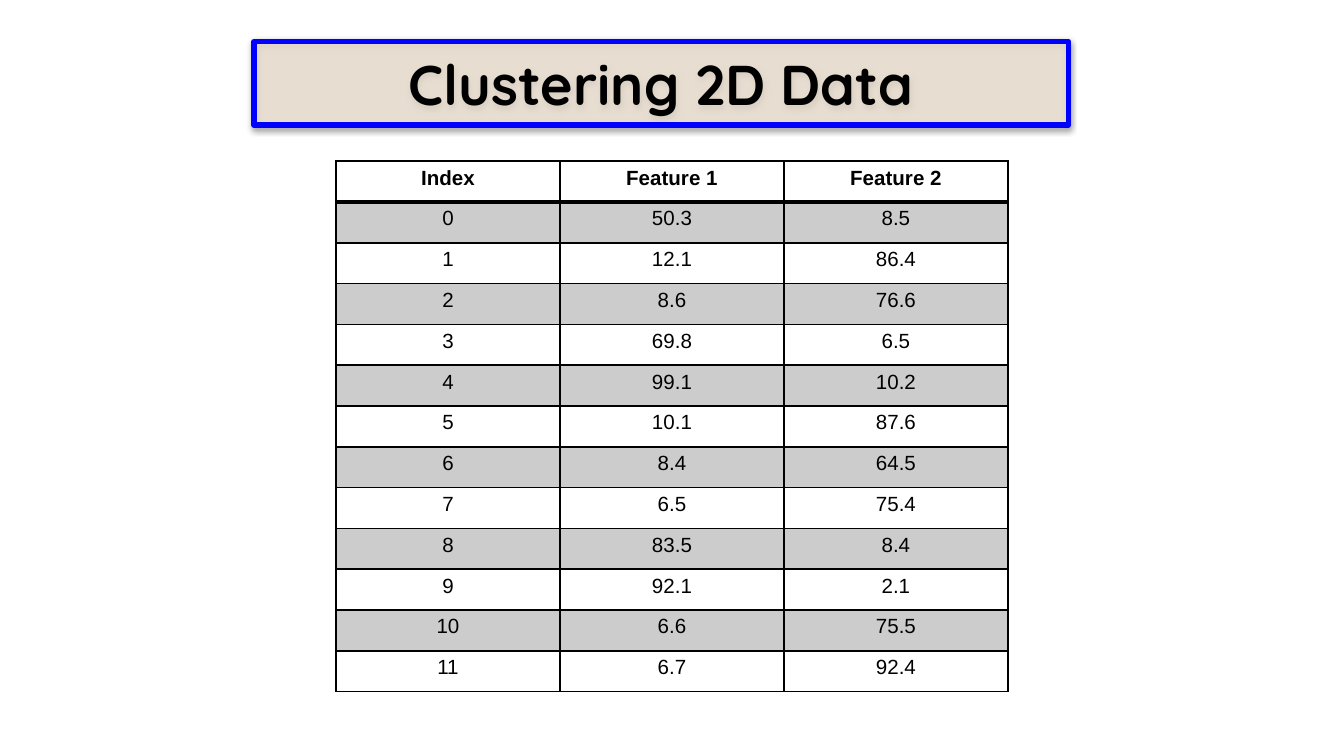
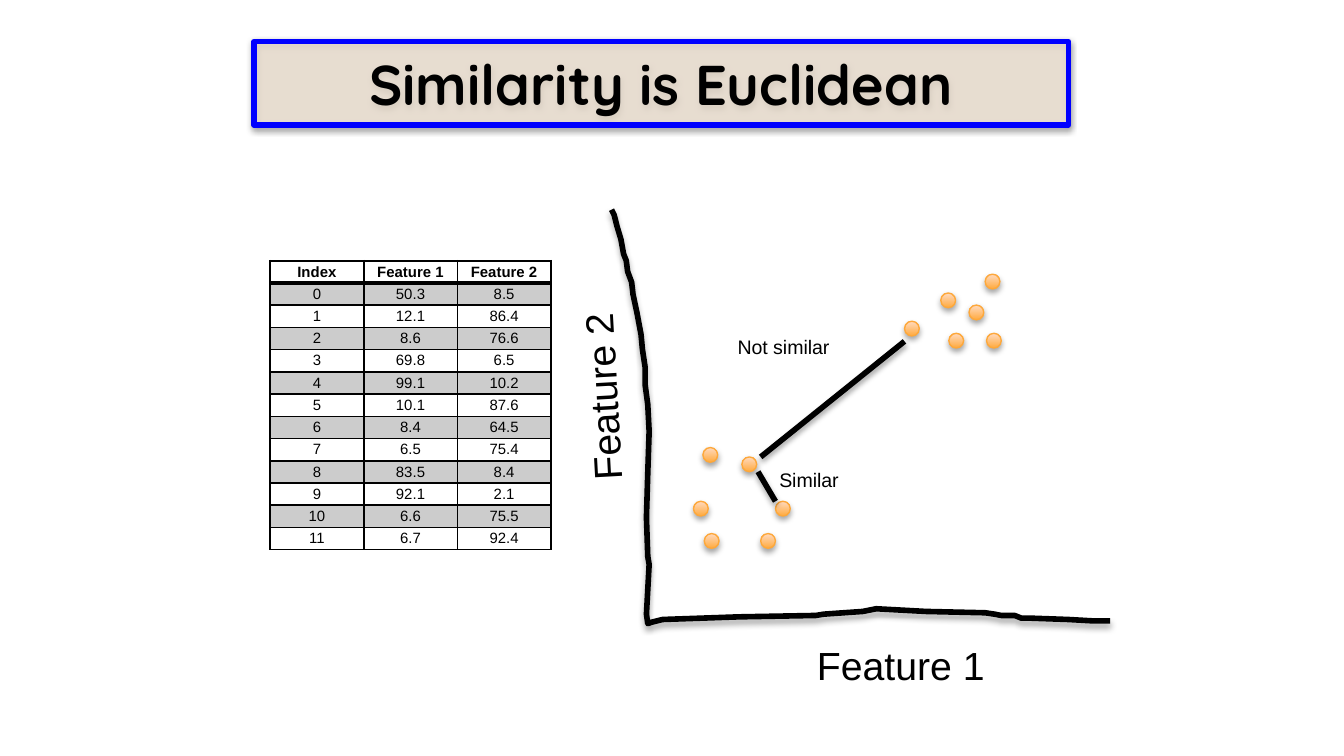
import dataclasses

import pptx
import pptx.dml.color
import pptx.enum.shapes
import pptx.enum.text
import pptx.util
from lxml import etree
from pptx.oxml.ns import qn

Inches = pptx.util.Inches
Pt = pptx.util.Pt
RGB = pptx.dml.color.RGBColor.from_string
Shape = pptx.enum.shapes.MSO_SHAPE
Align = pptx.enum.text.PP_ALIGN
Anchor = pptx.enum.text.MSO_ANCHOR


@dataclasses.dataclass(frozen=True)
class Theme:
    ink: str = "000000"
    title_fill: str = "FFEED9"
    title_line: str = "0000FF"
    dot_line: str = "FEA83A"
    dot_dark: str = "FFAB40"
    dot_light: str = "FFDAC0"
    title_font: str = "Quicksand"
    body_font: str = "Arial"
    title_size: float = 30
    axis_size: float = 21
    note_size: float = 10.5
    table_size: float = 11
    small_table_size: float = 8
    stroke: float = 3


class Deck:
    def __init__(self, theme):
        self.theme = theme
        self.prs = pptx.Presentation()
        self.prs.slide_width, self.prs.slide_height = Inches(10), Inches(5.625)
        self.slide = None

    # Styling helpers
    def set_alpha(self, properties, percent):
        colour = properties.find(qn("a:solidFill"))[0]
        etree.SubElement(colour, qn("a:alpha"), val=str(percent * 1000))

    def add_shadow(self, shape, alpha=35, distance=1.8):
        effects = etree.SubElement(shape._element.spPr, qn("a:effectLst"))
        shadow = etree.SubElement(
            effects, qn("a:outerShdw"), blurRad=str(Pt(3.1)),
            dist=str(Pt(distance)), dir="5400000", rotWithShape="0")
        colour = etree.SubElement(shadow, qn("a:srgbClr"), val=self.theme.ink)
        etree.SubElement(colour, qn("a:alpha"), val=str(alpha * 1000))

    def set_line(self, shape, colour, width):
        shape.line.color.rgb = RGB(colour)
        shape.line.width = Pt(width)

    def add_text(self, frame, text, size, font=None, bold=False, align=None):
        paragraph = frame.paragraphs[0]
        paragraph.alignment = align
        run = paragraph.add_run()
        run.text = text
        run.font.name = font or self.theme.body_font
        run.font.size = Pt(size)
        run.font.bold = bold
        run.font.color.rgb = RGB(self.theme.ink)

    # Slide and its title band
    def add_slide(self, title):
        t = self.theme
        self.slide = self.prs.slides.add_slide(self.prs.slide_layouts[6])
        band = self.slide.shapes.add_shape(
            Shape.RECTANGLE, Inches(1.89), Inches(0.31), Inches(6.06), Inches(0.62))
        band.fill.solid()
        band.fill.fore_color.rgb = RGB(t.title_fill)
        self.set_alpha(band._element.spPr, 60)
        self.set_line(band, t.title_line, t.stroke)
        self.add_shadow(band, alpha=38, distance=1.6)
        frame = band.text_frame
        frame.word_wrap = True
        frame.vertical_anchor = Anchor.MIDDLE
        frame.margin_left = frame.margin_right = Inches(0.07)
        frame.margin_top = frame.margin_bottom = Inches(0.04)
        self.add_text(frame, title, t.title_size, t.title_font, True, Align.CENTER)

    # Data table
    def add_border(self, cell, side, width):
        line = etree.SubElement(
            cell._tc.get_or_add_tcPr(), qn("a:ln" + side), w=str(Pt(width)))
        fill = etree.SubElement(line, qn("a:solidFill"))
        etree.SubElement(fill, qn("a:srgbClr"), val=self.theme.ink)

    def add_table(self, rows, left, top, width, height, size, margin_x, margin_y):
        table = self.slide.shapes.add_table(
            len(rows), len(rows[0]), Inches(left), Inches(top),
            Inches(width), Inches(height)).table
        table.first_row = table.horz_banding = False
        for column in table.columns:
            column.width = Inches(width / len(rows[0]))
        for r, values in enumerate(rows):
            table.rows[r].height = Inches(height / len(rows))
            for c, value in enumerate(values):
                cell = table.cell(r, c)
                cell.margin_left = cell.margin_right = Inches(margin_x)
                cell.margin_top = cell.margin_bottom = Inches(margin_y)
                self.add_border(cell, "L", 1)
                self.add_border(cell, "R", 1)
                self.add_border(cell, "T", 2 if r == 1 else 1)
                self.add_border(cell, "B", 2 if r == 0 else 1)
                if r % 2:
                    cell.fill.solid()
                    cell.fill.fore_color.rgb = RGB(self.theme.ink)
                    self.set_alpha(cell._tc.tcPr, 20)
                else:
                    cell.fill.background()
                self.add_text(cell.text_frame, str(value), size,
                              bold=r == 0, align=Align.CENTER)

    # Sketch elements
    def add_axes(self, points):
        start, *rest = [(Inches(x), Inches(y)) for x, y in points]
        builder = self.slide.shapes.build_freeform(*start)
        builder.add_line_segments(rest, close=False)
        axes = builder.convert_to_shape()
        axes.fill.background()
        self.set_line(axes, self.theme.ink, self.theme.stroke)
        self.add_shadow(axes)

    def add_dot(self, left, top, size=0.11):
        t = self.theme
        dot = self.slide.shapes.add_shape(
            Shape.OVAL, Inches(left), Inches(top), Inches(size), Inches(size))
        dot.fill.gradient()
        dot.fill.gradient_angle = 90
        for stop, colour in zip(dot.fill.gradient_stops, (t.dot_dark, t.dot_light)):
            stop.color.rgb = RGB(colour)
        self.set_line(dot, t.dot_line, 0.75)
        self.add_shadow(dot)

    def add_link(self, *ends):
        link = self.slide.shapes.add_connector(
            pptx.enum.shapes.MSO_CONNECTOR.STRAIGHT, *map(Inches, ends))
        self.set_line(link, self.theme.ink, self.theme.stroke)
        self.add_shadow(link)

    def add_label(self, text, left, top, width, height, size, rotation=0):
        label = self.slide.shapes.add_textbox(
            Inches(left), Inches(top), Inches(width), Inches(height))
        label.rotation = rotation
        label.text_frame.word_wrap = False
        label.text_frame.auto_size = pptx.enum.text.MSO_AUTO_SIZE.SHAPE_TO_FIT_TEXT
        self.add_text(label.text_frame, text, size)


FEATURES = [
    (50.3, 8.5), (12.1, 86.4), (8.6, 76.6), (69.8, 6.5), (99.1, 10.2), (10.1, 87.6),
    (8.4, 64.5), (6.5, 75.4), (83.5, 8.4), (92.1, 2.1), (6.6, 75.5), (6.7, 92.4),
]
DATA_ROWS = [("Index", "Feature 1", "Feature 2")]
DATA_ROWS += [(index, *pair) for index, pair in enumerate(FEATURES)]

# Hand-drawn axes, from the top of Feature 2 to the end of Feature 1
AXES = [
    (4.55, 1.56), (4.57, 1.6), (4.59, 1.68), (4.62, 1.78), (4.64, 1.89), (4.66, 1.94),
    (4.67, 2.02), (4.7, 2.1), (4.71, 2.19), (4.74, 2.33), (4.77, 2.49), (4.78, 2.6),
    (4.8, 2.73), (4.8, 2.86), (4.82, 3.01), (4.83, 3.21), (4.82, 3.52), (4.81, 3.85),
    (4.82, 4.14), (4.83, 4.2), (4.81, 4.57), (4.82, 4.64), (4.85, 4.63), (4.93, 4.61),
    (5.5, 4.59), (6.07, 4.58), (6.13, 4.57), (6.42, 4.55), (6.52, 4.53), (6.89, 4.55),
    (7.33, 4.56), (7.4, 4.57), (7.45, 4.58), (7.55, 4.58), (7.6, 4.6), (7.67, 4.6),
    (7.95, 4.61), (8.13, 4.62), (8.26, 4.62),
]
LOWER_CLUSTER = [(5.16, 3.73), (5.52, 3.4), (5.77, 3.73),
                 (5.66, 3.97), (5.23, 3.33), (5.24, 3.97)]
UPPER_CLUSTER = [(6.73, 2.39), (7, 2.18), (7.33, 2.04),
                 (7.34, 2.48), (7.21, 2.27), (7.06, 2.48)]


def main():
    theme = Theme()
    deck = Deck(theme)

    # Slide 1: the data
    deck.add_slide("Clustering 2D Data")
    deck.add_table(DATA_ROWS, 2.5, 1.2, 5, 3.95, theme.table_size, 0.07, 0.04)

    # Slide 2: the data beside its scatter sketch
    deck.add_slide("Similarity is Euclidean")
    deck.add_axes(AXES)
    deck.add_table(DATA_ROWS, 2.01, 1.94, 2.09, 2.15, theme.small_table_size, 0.04, 0.02)
    for left, top in LOWER_CLUSTER + UPPER_CLUSTER:
        deck.add_dot(left, top)
    deck.add_label("Feature 1", 5.98, 4.72, 1.46, 0.45, theme.axis_size)
    deck.add_label("Feature 2", 3.75, 2.72, 1.46, 0.45, theme.axis_size, 266.8)
    deck.add_link(5.66, 3.4, 6.73, 2.54)
    deck.add_link(5.64, 3.51, 5.77, 3.73)
    deck.add_label("Not similar", 5.39, 2.44, 0.9, 0.28, theme.note_size)
    deck.add_label("Similar", 5.7, 3.43, 0.65, 0.28, theme.note_size)

    deck.prs.save("out.pptx")


if __name__ == "__main__":
    main()
